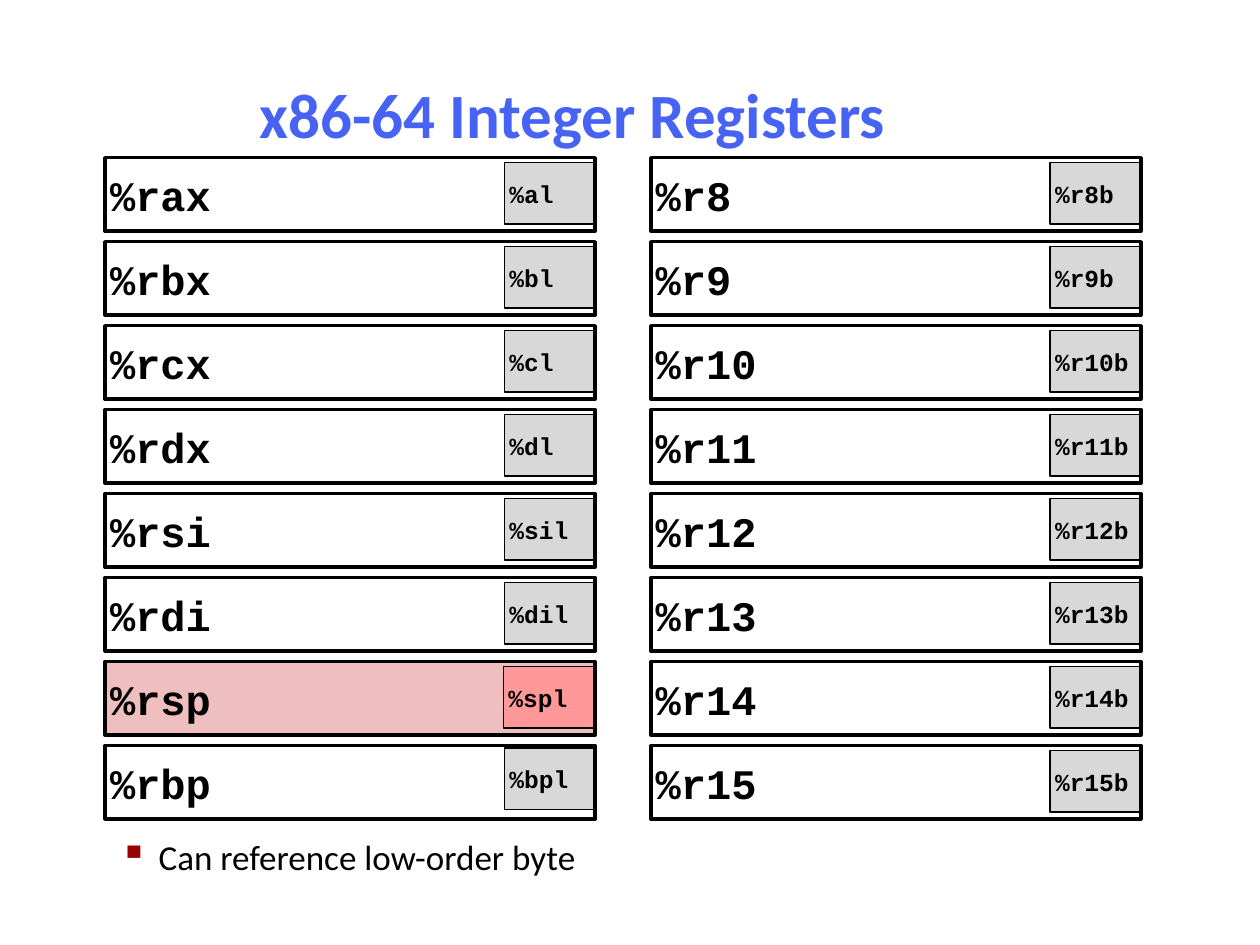
"""Build the slide of x86-64 integer registers and their low-order bytes."""
from dataclasses import dataclass

from lxml.etree import SubElement
from pptx import Presentation
from pptx.dml.color import RGBColor as Rgb
from pptx.enum.shapes import MSO_SHAPE as Preset
from pptx.enum.text import MSO_ANCHOR as Anchor, PP_ALIGN as Align
from pptx.oxml.ns import qn
from pptx.util import Cm, Pt

TITLE = "x86-64 Integer Registers"
NOTE = "Can reference low-order byte"
REGISTER_COLUMNS = [
    [("%rax", "%al"), ("%rbx", "%bl"), ("%rcx", "%cl"), ("%rdx", "%dl"),
     ("%rsi", "%sil"), ("%rdi", "%dil"), ("%rsp", "%spl"), ("%rbp", "%bpl")],
    [(f"%r{number}", f"%r{number}b") for number in range(8, 16)],
]
STACK_POINTER = "%rsp"
BYTE_NUDGES = {"%spl": (-0.02, 0), "%bpl": (0, -0.05)}


@dataclass(frozen=True)
class Theme:
    """Colours, fonts and type sizes."""
    ink: str = "000000"
    title: str = "4763F3"
    bullet: str = "990000"
    byte_fill: str = "D8D8D8"
    stack_fill: str = "EFBFBF"
    stack_byte_fill: str = "FF9999"
    prose_font: str = "Calibri"
    code_font: str = "Courier New"
    title_size: int = 36
    note_size: int = 20
    register_size: int = 24
    byte_size: int = 14


THEME = Theme()
COLUMN_LEFT, COLUMN_PITCH = 2.12, 11.0
ROW_TOP, ROW_PITCH = 3.18, 1.693
REGISTER_WIDTH, REGISTER_HEIGHT = 9.88, 1.48
BYTE_WIDTH, BYTE_HEIGHT, BYTE_DROP = 1.83, 1.24, 0.1
CELL_INSET = 0.1


def write(paragraph, text, font, size, color, bold=False):
    """Add one styled run to a paragraph."""
    run = paragraph.add_run()
    run.text = text
    run.font.name, run.font.size, run.font.bold = font, Pt(size), bold
    run.font.color.rgb = Rgb.from_string(color)


def add_cell(slide, label, place, size, fill, outline):
    """Add a bordered rectangle holding a register name."""
    cell = slide.shapes.add_shape(Preset.RECTANGLE, *map(Cm, place))
    cell.shadow.inherit = False
    if fill:
        cell.fill.solid()
        cell.fill.fore_color.rgb = Rgb.from_string(fill)
    else:
        cell.fill.background()
    cell.line.color.rgb = Rgb.from_string(THEME.ink)
    cell.line.width = Pt(outline)
    frame = cell.text_frame
    frame.margin_left = frame.margin_right = Cm(CELL_INSET)
    frame.margin_top = frame.margin_bottom = Cm(CELL_INSET)
    frame.vertical_anchor = Anchor.MIDDLE
    name = frame.paragraphs[0]
    name.alignment = Align.LEFT
    write(name, label, THEME.code_font, size, THEME.ink, bold=True)


def add_register(slide, register, low_byte, left, top):
    """Add a register frame with its low byte at the right end."""
    is_stack = register == STACK_POINTER
    shift_x, shift_y = BYTE_NUDGES.get(low_byte, (0, 0))
    byte_place = (left + REGISTER_WIDTH - BYTE_WIDTH + shift_x,
                  top + BYTE_DROP + shift_y, BYTE_WIDTH, BYTE_HEIGHT)
    register_place = (left, top, REGISTER_WIDTH, REGISTER_HEIGHT)
    cells = [
        (low_byte, byte_place, THEME.byte_size,
         THEME.stack_byte_fill if is_stack else THEME.byte_fill, 1 if is_stack else 0.75),
        (register, register_place, THEME.register_size,
         THEME.stack_fill if is_stack else None, 2),
    ]
    for cell in reversed(cells) if is_stack else cells:
        add_cell(slide, *cell)


def add_paragraph_box(slide, place):
    """Add a wrapping text box and return its frame and paragraph."""
    frame = slide.shapes.add_textbox(*map(Cm, place)).text_frame
    frame.word_wrap = True
    return frame, frame.paragraphs[0]


def add_bullet(paragraph):
    """Give a paragraph a square bullet with a hanging indent."""
    paragraph.level = 1
    properties = paragraph._p.get_or_add_pPr()
    properties.set("marL", str(Cm(2.06)))
    properties.set("indent", str(Cm(-0.79)))
    bullet_color = SubElement(properties, qn("a:buClr"))
    SubElement(bullet_color, qn("a:srgbClr"), val=THEME.bullet)
    SubElement(properties, qn("a:buSzPct"), val="110000")
    SubElement(properties, qn("a:buChar"), char="▪")


def main():
    """Assemble and save the slide."""
    deck = Presentation()
    deck.slide_width, deck.slide_height = Cm(25.4), Cm(19.05)
    slide = deck.slides.add_slide(deck.slide_layouts[6])

    title_frame, title = add_paragraph_box(slide, (1, 1.22, 21.08, 2.11))
    title_frame.vertical_anchor = Anchor.MIDDLE
    title.alignment = Align.CENTER
    write(title, TITLE, THEME.prose_font, THEME.title_size, THEME.title, bold=True)

    for column, registers in enumerate(REGISTER_COLUMNS):
        for row, (register, low_byte) in enumerate(registers):
            add_register(slide, register, low_byte,
                         COLUMN_LEFT + column * COLUMN_PITCH, ROW_TOP + row * ROW_PITCH)

    _, note = add_paragraph_box(slide, (0.89, 16.71, 20.37, 2.34))
    add_bullet(note)
    write(note, NOTE, THEME.prose_font, THEME.note_size, THEME.ink)

    deck.save("out.pptx")


if __name__ == "__main__":
    main()
